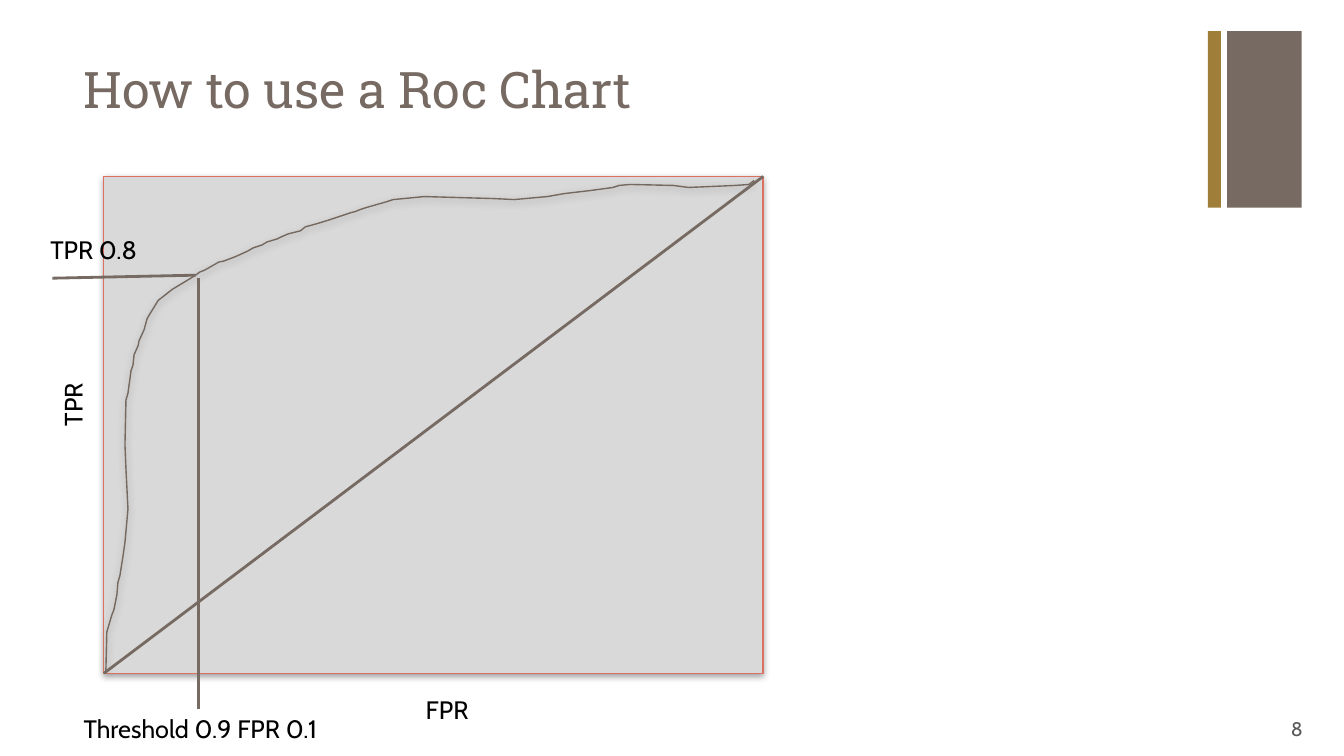
from dataclasses import dataclass

from lxml import etree
from pptx import Presentation
from pptx.dml.color import RGBColor
from pptx.enum.shapes import MSO_CONNECTOR, MSO_SHAPE
from pptx.enum.text import MSO_ANCHOR, PP_ALIGN
from pptx.oxml.ns import qn
from pptx.util import Emu, Pt

LEFT, CENTER, RIGHT = PP_ALIGN.LEFT, PP_ALIGN.CENTER, PP_ALIGN.RIGHT
TOP, MIDDLE = MSO_ANCHOR.TOP, MSO_ANCHOR.MIDDLE
RECTANGLE = MSO_SHAPE.RECTANGLE
STRAIGHT = MSO_CONNECTOR.STRAIGHT

EMU_PER_PX = 9144  # 100 px to the inch
TITLE_ONLY = 5


@dataclass(frozen=True)
class Theme:
    taupe: str = "766A62"
    gold: str = "9E7E38"
    plot_fill: str = "D9D9D9"
    plot_edge: str = "DB7160"
    curve: str = "74685F"
    shadow: str = "808080"
    text: str = "000000"
    muted: str = "595959"
    title_font: str = "Roboto Slab"
    body_font: str = "Cabin"
    title_size: int = 36
    label_size: int = 18
    number_size: int = 14
    thin: int = 1
    thick: int = 2


THEME = Theme()

# ROC curve from bottom left to top right, measured from the plot's top left
ROC_POINTS = [
    (2, 492), (3, 452), (8, 435), (10, 430), (13, 415), (14, 403), (16, 396),
    (19, 377), (21, 363), (24, 330), (22, 290), (21, 266), (22, 222),
    (24, 215), (27, 193), (29, 187), (30, 177), (34, 168), (35, 163),
    (40, 152), (43, 141), (46, 136), (54, 123), (68, 112), (78, 106),
    (83, 103), (91, 98), (95, 95), (100, 93), (114, 85), (119, 84),
    (127, 81), (132, 79), (143, 74), (148, 71), (157, 68), (162, 65),
    (172, 62), (176, 60), (183, 57), (195, 54), (200, 50), (211, 47),
    (221, 44), (230, 41), (245, 36), (249, 35), (254, 33), (260, 31),
    (281, 25), (287, 23), (318, 20), (387, 22), (407, 23), (440, 20),
    (457, 17), (483, 14), (505, 11), (511, 9), (522, 8), (565, 9),
    (580, 11), (626, 9), (640, 8), (645, 4),
]


def px(length):
    return Emu(length * EMU_PER_PX)


def color(code):
    return RGBColor.from_string(code)


def write(frame, text, font, size, code, align=LEFT, anchor=TOP):
    frame.word_wrap = True
    frame.vertical_anchor = anchor
    para = frame.paragraphs[0]
    para.alignment = align
    span = para.add_run()
    span.text = text
    span.font.name = font
    span.font.size = Pt(size)
    span.font.color.rgb = color(code)


def add_label(page, box, text, align=LEFT, rotation=0):
    label = page.shapes.add_textbox(*map(px, box))
    label.rotation = rotation
    write(label.text_frame, text, THEME.body_font, THEME.label_size,
          THEME.text, align)


def add_block(page, box, fill):
    block = page.shapes.add_shape(RECTANGLE, *map(px, box))
    block.shadow.inherit = False
    block.fill.solid()
    block.fill.fore_color.rgb = color(fill)
    block.line.fill.background()
    return block


def outline(shape, code, width):
    shape.line.color.rgb = color(code)
    shape.line.width = Pt(width)


def add_line(page, start, end):
    line = page.shapes.add_connector(STRAIGHT, *map(px, start + end))
    outline(line, THEME.taupe, THEME.thick)
    etree.SubElement(line._element.spPr, qn("a:effectLst"))


def drop_shadow(shape):
    """Cast a soft shadow straight down."""
    shape.shadow.inherit = False
    effects = shape._element.spPr.find(qn("a:effectLst"))
    outer = etree.SubElement(
        effects, qn("a:outerShdw"), blurRad=str(Pt(5)), dist=str(Pt(2)),
        dir="5400000", rotWithShape="0")
    tint = etree.SubElement(outer, qn("a:srgbClr"), val=THEME.shadow)
    etree.SubElement(tint, qn("a:alpha"), val="75000")


def add_title(page, box, text):
    title = page.shapes.title
    title.left, title.top, title.width, title.height = map(px, box)
    write(title.text_frame, text, THEME.title_font, THEME.title_size,
          THEME.taupe)


def add_corner_bars(page, box):
    left, top, width, height = box
    add_block(page, (left + 19, top, width - 19, height), THEME.taupe)
    add_block(page, (left, top, 13, height), THEME.gold)


def add_page_number(page, box, number):
    label = page.shapes.add_textbox(*map(px, box))
    write(label.text_frame, number, THEME.body_font, THEME.number_size,
          THEME.muted, RIGHT, MIDDLE)


def add_roc_curve(page, left, top):
    builder = page.shapes.build_freeform(*ROC_POINTS[0], scale=EMU_PER_PX)
    builder.add_line_segments(ROC_POINTS[1:], close=False)
    curve = builder.convert_to_shape(px(left), px(top))
    curve.fill.background()
    outline(curve, THEME.curve, THEME.thin)
    drop_shadow(curve)


def add_roc_plot(page, box):
    left, top, width, height = box
    bottom = top + height
    plot = add_block(page, box, THEME.plot_fill)
    outline(plot, THEME.plot_edge, THEME.thin)
    drop_shadow(plot)

    add_line(page, (left, bottom), (left + width, top))
    add_label(page, (left + 172, bottom + 16, 337, 41), "FPR", CENTER)
    add_label(page, (left - 118, top + 206, 175, 41), "TPR", CENTER, 270)
    add_roc_curve(page, left, top)

    add_line(page, (left + 94, top + 101), (left + 94, bottom + 35))
    add_label(page, (left - 30, bottom + 35, 262, 40),
              "Threshold 0.9 FPR 0.1")
    add_line(page, (left + 91, top + 98), (left - 51, top + 101))
    add_label(page, (left - 63, top + 53, 262, 40), "TPR 0.8")


def build_roc_slide(deck):
    page = deck.slides.add_slide(deck.slide_layouts[TITLE_ONLY])
    add_corner_bars(page, (1198, 31, 93, 175))
    add_title(page, (73, 53, 1102, 122), "How to use a Roc Chart")
    add_page_number(page, (1221, 703, 81, 40), "8")
    add_roc_plot(page, (103, 175, 654, 493))


def main():
    deck = Presentation()
    deck.slide_width, deck.slide_height = px(1333), px(750)
    build_roc_slide(deck)
    deck.save("out.pptx")


if __name__ == "__main__":
    main()
